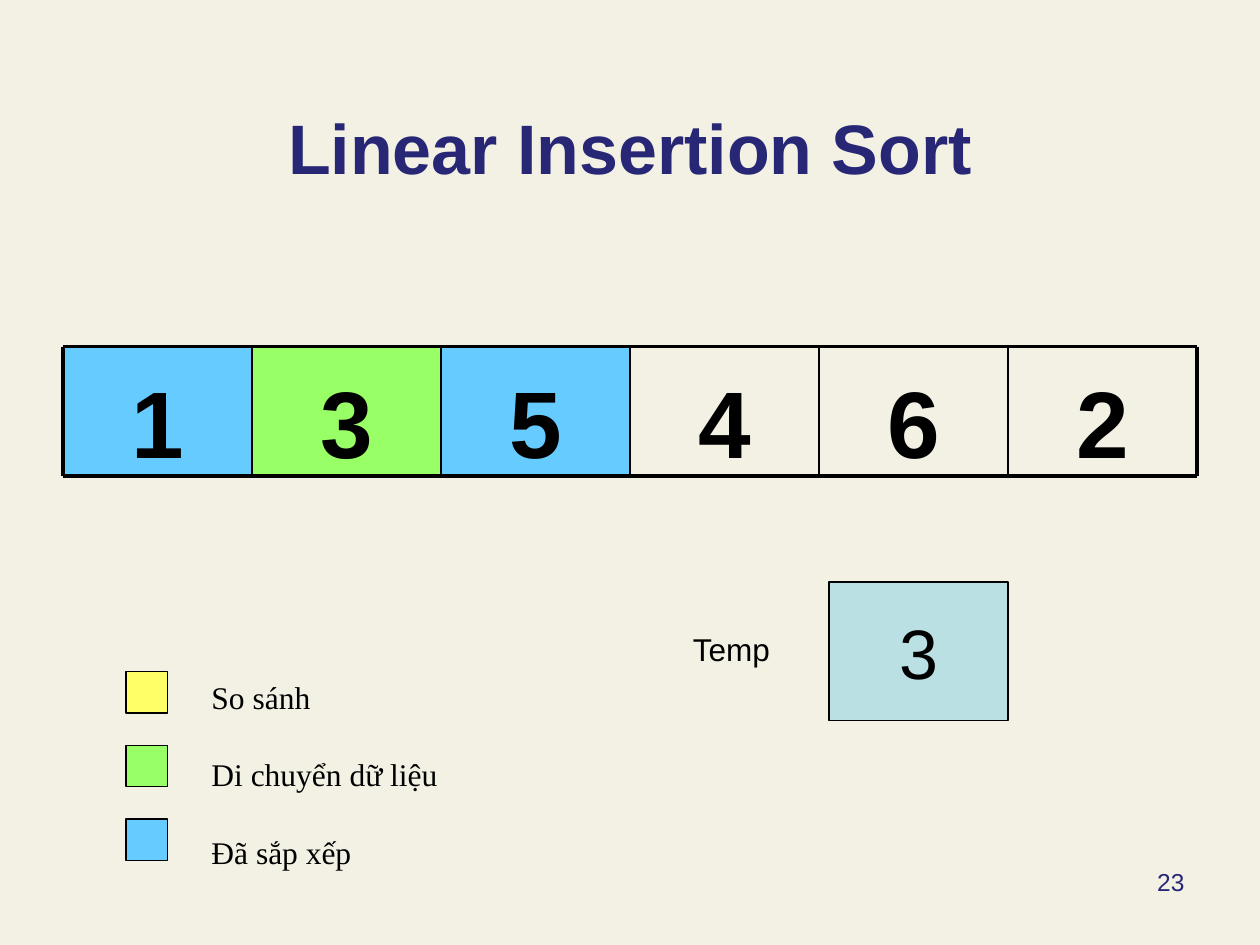
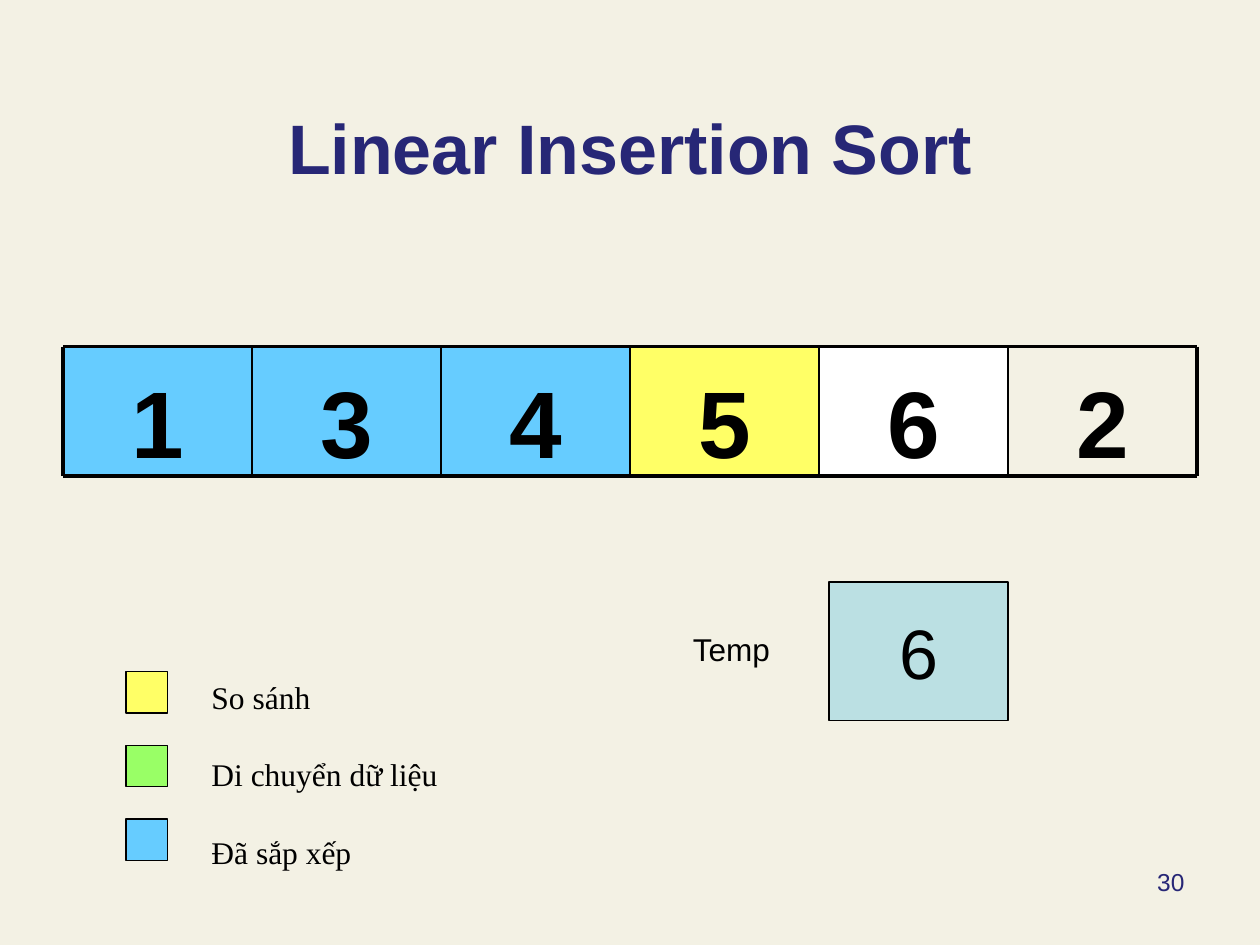
from pptx import Presentation
from pptx.dml.color import RGBColor
from pptx.enum.shapes import MSO_CONNECTOR as Connector, MSO_SHAPE as Shape
from pptx.enum.text import MSO_ANCHOR as Anchor, MSO_AUTO_SIZE as AutoSize, PP_ALIGN as Align
from pptx.oxml.ns import qn
from pptx.util import Inches, Pt
from lxml.etree import SubElement

# Shared colours and fonts
CREAM = RGBColor(0xF3, 0xF1, 0xE4)
NAVY = RGBColor(0x27, 0x27, 0x76)
BLACK = RGBColor(0x00, 0x00, 0x00)
WHITE = RGBColor(0xFF, 0xFF, 0xFF)
COMPARED = RGBColor(0xFF, 0xFF, 0x66)
MOVED = RGBColor(0x99, 0xFF, 0x66)
SORTED = RGBColor(0x66, 0xCC, 0xFF)
TEMP_FILL = RGBColor(0xBB, 0xE0, 0xE3)
SANS = "Arial"
SERIF = "Times New Roman"

# Array geometry
ARRAY_LEFT, ARRAY_TOP = 0.5, 2.75
CELL_WIDTH, CELL_HEIGHT = 1.5, 1.03

LEGEND = [("So sánh", COMPARED), ("Di chuyển dữ liệu", MOVED), ("Đã sắp xếp", SORTED)]

# Page number, array cells as (value, fill), value held in Temp
STEPS = [
    (23, [(1, SORTED), (3, MOVED), (5, SORTED), (4, None), (6, None), (2, None)], 3),
    (30, [(1, SORTED), (3, SORTED), (4, SORTED), (5, COMPARED), (6, WHITE), (2, None)], 6),
]


def write(frame, lines, size, color=BLACK, font=SANS, bold=False, align=Align.LEFT,
          anchor=Anchor.TOP, inset_top=0.05, inset_bottom=0.05, inset_right=0.1, gap=0):
    frame.word_wrap = True
    frame.auto_size = AutoSize.NONE
    frame.vertical_anchor = anchor
    frame.margin_left, frame.margin_right = Inches(0.1), Inches(inset_right)
    frame.margin_top, frame.margin_bottom = Inches(inset_top), Inches(inset_bottom)
    for index, line in enumerate(lines):
        para = frame.add_paragraph() if index else frame.paragraphs[0]
        para.alignment = align
        para.space_before = Pt(gap if index else 0)
        span = para.add_run()
        span.text = line
        span.font.name, span.font.size = font, Pt(size)
        span.font.bold, span.font.color.rgb = bold, color


def add_text(page, left, top, width, height, lines, size, **style):
    box = page.shapes.add_textbox(Inches(left), Inches(top), Inches(width), Inches(height))
    write(box.text_frame, lines, size, **style)


def add_box(page, left, top, width, height, fill, outlined=True):
    box = page.shapes.add_shape(Shape.RECTANGLE, Inches(left), Inches(top),
                                Inches(width), Inches(height))
    box.shadow.inherit = False
    box.fill.solid()
    box.fill.fore_color.rgb = fill
    if outlined:
        box.line.color.rgb = BLACK
        box.line.width = Pt(0.75)
    else:
        box.line.fill.background()
    return box


def add_line(page, x1, y1, x2, y2, weight):
    line = page.shapes.add_connector(Connector.STRAIGHT, Inches(x1), Inches(y1),
                                     Inches(x2), Inches(y2))
    line.line.color.rgb = BLACK
    line.line.width = Pt(weight)
    SubElement(line._element.spPr, qn("a:effectLst"))


def add_title(page, text):
    title = page.shapes.title
    title.left, title.top = Inches(0.5), Inches(0.3)
    title.width, title.height = Inches(9), Inches(1.25)
    write(title.text_frame, [text], 40, color=NAVY, bold=True,
          align=Align.CENTER, anchor=Anchor.BOTTOM)


def add_array(page, cells):
    style = dict(bold=True, align=Align.CENTER, inset_top=0.14, inset_bottom=0)
    for index, (value, fill) in enumerate(cells):
        area = (ARRAY_LEFT + index * CELL_WIDTH, ARRAY_TOP, CELL_WIDTH, CELL_HEIGHT)
        if fill is None:
            add_text(page, *area, [str(value)], 54, **style)
        else:
            cell = add_box(page, *area, fill, outlined=False)
            write(cell.text_frame, [str(value)], 54, **style)

    # Heavy frame with thin dividers
    count = len(cells)
    right, bottom = ARRAY_LEFT + count * CELL_WIDTH, ARRAY_TOP + CELL_HEIGHT
    for y in (ARRAY_TOP, bottom):
        add_line(page, ARRAY_LEFT, y, right, y, 2.25)
    for index in range(count + 1):
        x = ARRAY_LEFT + index * CELL_WIDTH
        add_line(page, x, ARRAY_TOP, x, bottom, 2.25 if index in (0, count) else 1)


def add_legend(page):
    labels = [label for label, _ in LEGEND]
    for index, (_, fill) in enumerate(LEGEND):
        add_box(page, 1, 5.33 + index * 1.17 / 2, 0.33, 0.33, fill)
    add_text(page, 1.58, 5.33, 2.01, 1.62, labels, 18, font=SERIF, inset_right=0, gap=22.7)


def add_temp(page, value):
    holder = add_box(page, 6.58, 4.62, 1.42, 1.1, TEMP_FILL)
    write(holder.text_frame, [str(value)], 40, align=Align.CENTER, anchor=Anchor.MIDDLE)
    add_text(page, 5.4, 4.93, 1.02, 0.4, ["Temp"], 18, inset_top=0.07, inset_bottom=0)


def main():
    deck = Presentation()
    deck.slide_width, deck.slide_height = Inches(10), Inches(7.5)
    background = deck.slide_master.background.fill
    background.solid()
    background.fore_color.rgb = CREAM

    for number, cells, held in STEPS:
        page = deck.slides.add_slide(deck.slide_layouts[5])
        add_title(page, "Linear Insertion Sort")
        add_text(page, 7.17, 6.83, 2.33, 0.52, [str(number)], 14, color=NAVY, align=Align.RIGHT)
        add_array(page, cells)
        add_legend(page)
        add_temp(page, held)

    deck.save("out.pptx")


if __name__ == "__main__":
    main()
